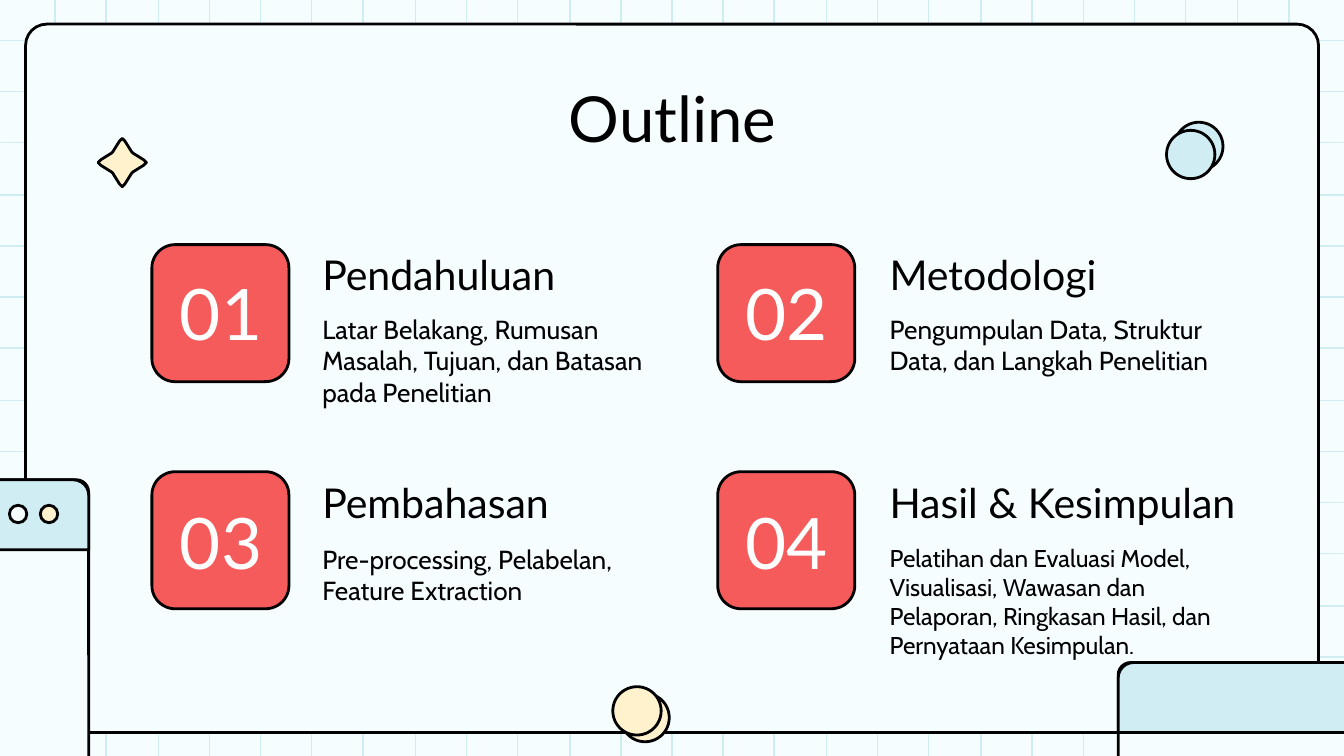
"""Build the Outline slide: four numbered topics inside a framed window on grid paper."""
from typing import NamedTuple

from pptx import Presentation
from pptx.dml.color import RGBColor
from pptx.enum.shapes import MSO_CONNECTOR, MSO_SHAPE
from pptx.enum.text import MSO_ANCHOR, MSO_AUTO_SIZE, PP_ALIGN
from pptx.oxml.ns import qn
from pptx.util import Emu, Pt

PX = 9144
SLIDE_W = Emu(1000 * PX)
SLIDE_H = Emu(SLIDE_W * 9 // 16)
COLORS = {
    "paper": "F6FDFF",
    "grid": "D0EDF3",
    "ink": "000000",
    "card": "F55B5B",
    "cream": "FFF2CC",
    "white": "FFFFFF",
}
STAR_ARM = [(0, -18), (2, -16), (7, -8), (8, -7), (16, -2)]


class Box(NamedTuple):
    x: int
    y: int
    w: int
    h: int


class Style(NamedTuple):
    size: int
    font: str = "Lato"
    color: str = "ink"
    anchor: MSO_ANCHOR = MSO_ANCHOR.TOP
    align: PP_ALIGN = PP_ALIGN.LEFT


class Column(NamedTuple):
    card: int
    number: int
    text: int


class Row(NamedTuple):
    card: int
    number: int
    number_h: int
    heading: int
    body: int


class Topic(NamedTuple):
    number: str
    heading: str
    body: str
    col: Column
    row: Row
    heading_w: int
    body_w: int = 281
    body_size: int = 14


LEFT, RIGHT = Column(113, 107, 230), Column(534, 528, 652)
TOP, BOTTOM = Row(182, 205, 54, 184, 223), Row(351, 379, 47, 354, 394)
TOPICS = [
    Topic("01", "Pendahuluan",
          "Latar Belakang, Rumusan Masalah, Tujuan, dan Batasan pada Penelitian",
          LEFT, TOP, 256, 298),
    Topic("02", "Metodologi",
          "Pengumpulan Data, Struktur Data, dan Langkah Penelitian",
          RIGHT, TOP, 241),
    Topic("03", "Pembahasan",
          "Pre-processing, Pelabelan, Feature Extraction",
          LEFT, BOTTOM, 289),
    Topic("04", "Hasil & Kesimpulan",
          "Pelatihan dan Evaluasi Model, Visualisasi, Wawasan dan Pelaporan, "
          "Ringkasan Hasil, dan Pernyataan Kesimpulan.",
          RIGHT, BOTTOM, 382, body_size=13),
]
NUMBER = Style(38, color="white", anchor=MSO_ANCHOR.MIDDLE, align=PP_ALIGN.CENTER)
HEADING = Style(22, anchor=MSO_ANCHOR.BOTTOM)
TITLE = Style(34, align=PP_ALIGN.CENTER)


def px(n: int) -> Emu:
    return Emu(n * PX)


def rgb(name: str) -> RGBColor:
    return RGBColor.from_string(COLORS[name])


def paint(sp, fill: str) -> None:
    sp.shadow.inherit = False
    sp.fill.solid()
    sp.fill.fore_color.rgb = rgb(fill)
    sp.line.color.rgb = rgb("ink")
    sp.line.width = Pt(1.5)


def add_shape(s, kind: MSO_SHAPE, box: Box, fill: str, *adj: float) -> None:
    sp = s.shapes.add_shape(kind, *map(px, box))
    for i, value in enumerate(adj):
        sp.adjustments[i] = value
    paint(sp, fill)


def add_grid_line(s, x1: Emu, y1: Emu, x2: Emu, y2: Emu) -> None:
    line = s.shapes.add_connector(MSO_CONNECTOR.STRAIGHT, x1, y1, x2, y2)
    line.line.color.rgb = rgb("grid")
    line.line.width = Pt(0.75)
    sp_pr = line._element.spPr
    sp_pr.append(sp_pr.makeelement(qn("a:effectLst"), {}))


def write(sp, text: str, style: Style) -> None:
    tf = sp.text_frame
    tf.word_wrap = True
    tf.auto_size = MSO_AUTO_SIZE.NONE
    tf.vertical_anchor = style.anchor
    tf.margin_left = tf.margin_right = tf.margin_top = tf.margin_bottom = px(10)
    p = tf.paragraphs[0]
    p.alignment = style.align
    r = p.add_run()
    r.text = text
    r.font.size = Pt(style.size)
    r.font.name = style.font
    r.font.color.rgb = rgb(style.color)


def add_text(s, box: Box, text: str, style: Style) -> None:
    write(s.shapes.add_textbox(*map(px, box)), text, style)


def add_title(s, box: Box, text: str) -> None:
    sp = s.shapes.title
    sp.left, sp.top, sp.width, sp.height = map(px, box)
    write(sp, text, TITLE)
    s.shapes._spTree.append(sp._element)


def add_topic(s, t: Topic) -> None:
    col, row = t.col, t.row
    add_shape(s, MSO_SHAPE.ROUNDED_RECTANGLE, Box(col.card, row.card, 102, 102), "card", 0.17)
    add_text(s, Box(col.number, row.number, 115, row.number_h), t.number, NUMBER)
    add_text(s, Box(col.text, row.heading, t.heading_w, 48), t.heading, HEADING)
    add_text(s, Box(col.text, row.body, t.body_w, 58), t.body, Style(t.body_size, "Cabin"))


def add_window(s, x: int, y: int) -> None:
    add_shape(s, MSO_SHAPE.ROUNDED_RECTANGLE, Box(x, y, 678, 306), "paper", 0.03)
    add_shape(s, MSO_SHAPE.ROUND_2_SAME_RECTANGLE, Box(x, y, 678, 52), "grid", 0.22, 0)


def add_circle(s, x: int, y: int, d: int, fill: str) -> None:
    add_shape(s, MSO_SHAPE.OVAL, Box(x, y, d, d), fill)


def add_star(s, cx: int, cy: int) -> None:
    arm, points = STAR_ARM, []
    for _ in range(4):
        points += [(cx + x, cy + y) for x, y in arm]
        arm = [(-y, x) for x, y in arm]
    fb = s.shapes.build_freeform(*points[0], scale=PX)
    fb.add_line_segments(points[1:], close=True)
    paint(fb.convert_to_shape(), "cream")


def main() -> None:
    prs = Presentation()
    prs.slide_width, prs.slide_height = SLIDE_W, SLIDE_H
    s = prs.slides.add_slide(prs.slide_layouts[5])
    s.background.fill.solid()
    s.background.fill.fore_color.rgb = rgb("paper")

    for i in range(25):
        x = px(round(41 + 38.25 * i))
        add_grid_line(s, x, Emu(0), x, SLIDE_H)
    for i in range(14):
        y = px(round(30 + 38.23 * i))
        add_grid_line(s, Emu(0), y, SLIDE_W, y)

    add_shape(s, MSO_SHAPE.ROUNDED_RECTANGLE, Box(19, 18, 962, 527), "paper", 0.03)
    add_title(s, Box(79, 49, 843, 63), "Outline")
    for topic in TOPICS:
        add_topic(s, topic)

    add_window(s, 832, 493)
    add_star(s, 91, 121)
    add_window(s, -612, 357)
    add_circle(s, 7, 376, 13, "paper")
    add_circle(s, 30, 376, 13, "cream")
    for x, y, fill in [(462, 516, "cream"), (456, 511, "cream"),
                       (874, 91, "grid"), (868, 97, "grid")]:
        add_circle(s, x, y, 36, fill)
    prs.save("out.pptx")


if __name__ == "__main__":
    main()
